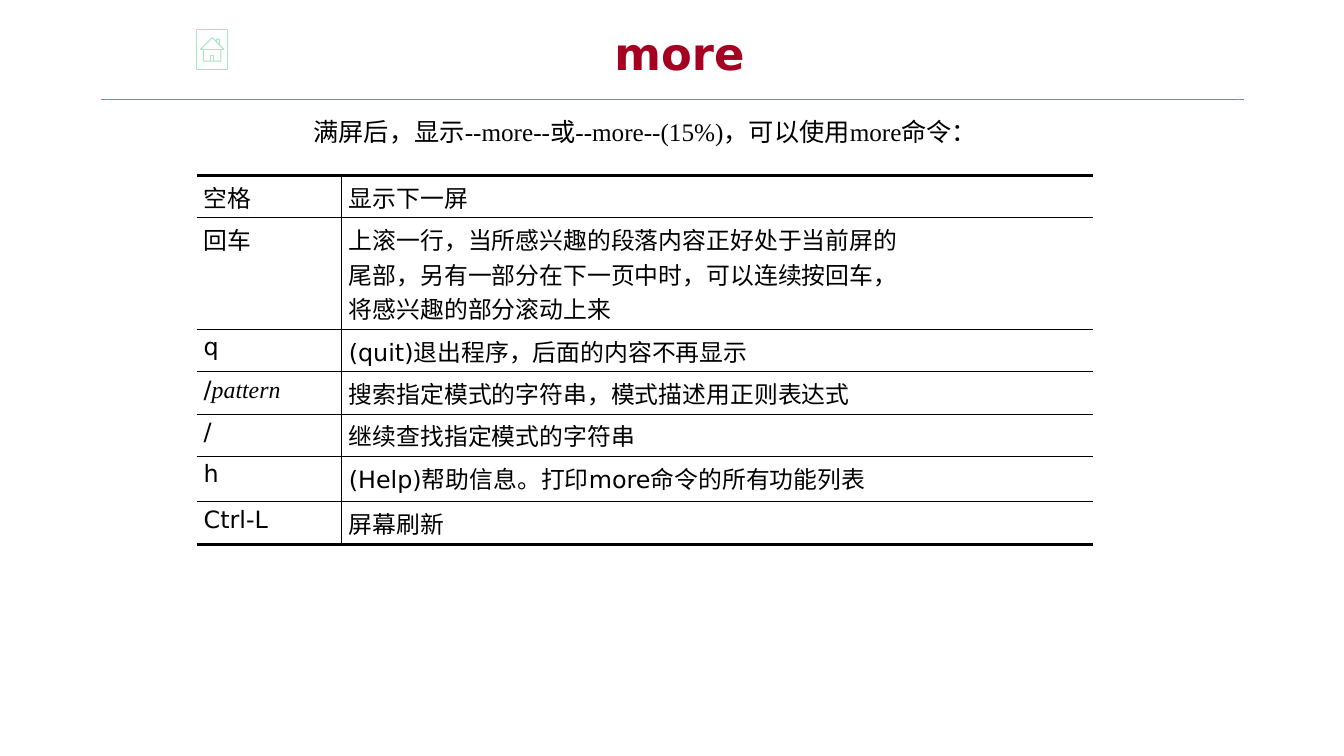
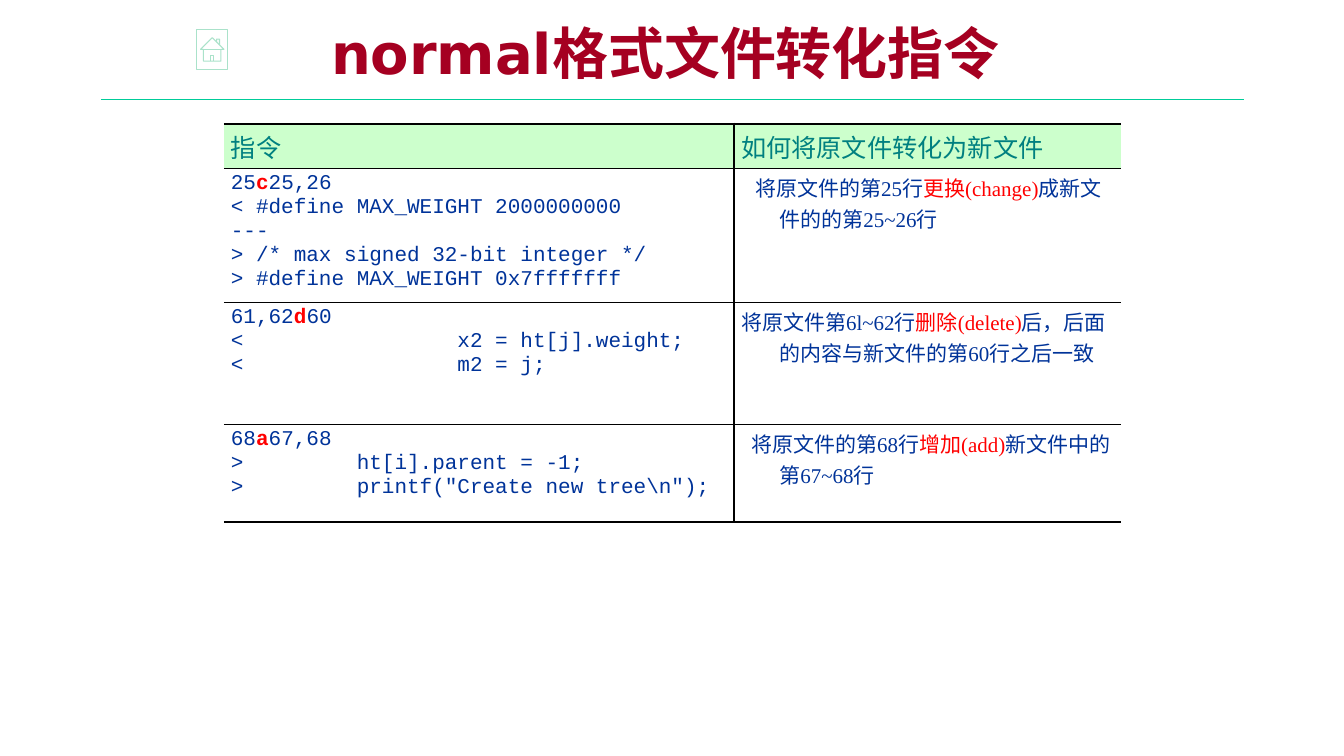
from lxml.etree import SubElement
from pptx import Presentation
from pptx.dml.color import RGBColor
from pptx.enum.shapes import MSO_CONNECTOR, MSO_SHAPE
from pptx.enum.text import MSO_ANCHOR, PP_ALIGN
from pptx.oxml.ns import qn
from pptx.util import Inches, Pt

THEME = {
    "rule": "00CC99",
    "home": "AAE2CA",
    "border": "000000",
    "header_fill": "CCFFCC",
    "thin": 1,
    "thick": 2.25,
    "hairline": 0.75,
    "hanging": 0.38,
    "styles": {
        "title": {"name": "DejaVu Sans", "size": 32, "color": "A50021", "bold": True},
        "big_title": {"name": "DejaVu Sans", "size": 40, "color": "A50021", "bold": True},
        "intro": {"name": "Times New Roman", "size": 18, "color": "000000"},
        "key": {"name": "DejaVu Sans", "size": 17, "color": "000000"},
        "argument": {"name": "Times New Roman", "size": 17, "color": "000000", "italic": True},
        "header": {"name": "Courier New", "size": 18, "color": "008080"},
        "header_serif": {"name": "Cambria", "size": 18, "color": "008080"},
        "code": {"name": "Courier New", "size": 15, "color": "003399"},
        "code_mark": {"name": "Courier New", "size": 15, "color": "FF0000", "bold": True},
        "prose": {"name": "Times New Roman", "size": 15, "color": "003399"},
        "prose_mark": {"name": "Times New Roman", "size": 15, "color": "FF0000"},
    },
}

INTRO = "满屏后，显示--more--或--more--(15%)，可以使用more命令："

MORE_KEYS = [
    ("空格", ["显示下一屏"]),
    ("回车", [
        "上滚一行，当所感兴趣的段落内容正好处于当前屏的",
        "尾部，另有一部分在下一页中时，可以连续按回车，",
        "将感兴趣的部分滚动上来",
    ]),
    ("q", ["(quit)退出程序，后面的内容不再显示"]),
    ([("/", "key"), ("pattern", "argument")], ["搜索指定模式的字符串，模式描述用正则表达式"]),
    ("/", ["继续查找指定模式的字符串"]),
    ("h", ["(Help)帮助信息。打印more命令的所有功能列表"]),
    ("Ctrl-L", ["屏幕刷新"]),
]

DIFF_HEADER = [
    [("指令", "header")],
    [("如何将原文件", "header"), ("转化为新文件", "header_serif")],
]

DIFF_COMMANDS = [
    {
        "command": ("25", "c", "25,26"),
        "lines": [
            "< #define MAX_WEIGHT 2000000000",
            "---",
            "> /* max signed 32-bit integer */",
            "> #define MAX_WEIGHT 0x7fffffff",
        ],
        "meaning": ("将原文件的第25行", "更换(change)", "成新文件的的第25~26行"),
        "first_line": 0.14,
    },
    {
        "command": ("61,62", "d", "60"),
        "lines": [
            "<                 x2 = ht[j].weight;",
            "<                 m2 = j;",
        ],
        "meaning": ("将原文件第6l~62行", "删除(delete)", "后，后面的内容与新文件的第60行之后一致"),
        "first_line": 0,
    },
    {
        "command": ("68", "a", "67,68"),
        "lines": [
            ">         ht[i].parent = -1;",
            '>         printf("Create new tree\\n");',
        ],
        "meaning": ("将原文件的第68行", "增加(add)", "新文件中的第67~68行"),
        "first_line": 0.1,
    },
]


def rgb(name):
    return RGBColor.from_string(THEME.get(name, name))


def set_all(target, values):
    for name, value in values.items():
        setattr(target, name, value)


def apply_style(font, style):
    for name, value in THEME["styles"][style].items():
        if name == "color":
            font.color.rgb = rgb(value)
        else:
            setattr(font, name, Pt(value) if name == "size" else value)


def write_runs(para, runs):
    for text, style in runs:
        span = para.add_run()
        span.text = text
        apply_style(span.font, style)


def hang(para, left, first_line=0):
    properties = para._p.get_or_add_pPr()
    properties.set("marL", str(Inches(left)))
    properties.set("indent", str(Inches(first_line - left)))


def add_text(page, place, runs, frame_format, para_format):
    box = page.shapes.add_textbox(*map(Inches, place))
    set_all(box.text_frame, {"word_wrap": True, **frame_format})
    para = box.text_frame.paragraphs[0]
    set_all(para, para_format)
    write_runs(para, runs)
    return para


def add_page(deck, title, style, center, width):
    page = deck.slides.add_slide(deck.slide_layouts[6])
    rule = page.shapes.add_connector(
        MSO_CONNECTOR.STRAIGHT, Inches(1), Inches(0.99), Inches(12.34), Inches(0.99))
    SubElement(rule._element.spPr, qn("a:effectLst"))
    home = page.shapes.add_shape(
        MSO_SHAPE.ACTION_BUTTON_HOME, *map(Inches, (1.95, 0.29, 0.31, 0.4)))
    home.shadow.inherit = False
    home.fill.background()
    for shape, color in ((rule, "rule"), (home, "home")):
        shape.line.color.rgb = rgb(color)
        shape.line.width = Pt(THEME["hairline"])
    add_text(page, (center - width / 2, 0.13, width, 0.87), [(title, style)],
             {"vertical_anchor": MSO_ANCHOR.MIDDLE},
             {"alignment": PP_ALIGN.CENTER, "line_spacing": 0.85})
    return page


def set_border(cell, side, weight):
    properties = cell._tc.get_or_add_tcPr()
    line = SubElement(properties, qn(f"a:ln{side}"), w=str(Pt(weight)))
    if weight:
        fill = SubElement(line, qn("a:solidFill"))
        SubElement(fill, qn("a:srgbClr"), val=THEME["border"])
    else:
        SubElement(line, qn("a:noFill"))


def fill_cell(cell, paragraphs):
    set_all(cell, {"margin_left": Inches(0.07), "margin_right": Inches(0.07),
                   "margin_top": Inches(0.04), "margin_bottom": Inches(0.04)})
    frame = cell.text_frame
    for index, (runs, first_line) in enumerate(paragraphs):
        para = frame.add_paragraph() if index else frame.paragraphs[0]
        hang(para, THEME["hanging"], first_line)
        write_runs(para, runs)


def add_grid(page, left, top, columns, heights, rows, header=False):
    table = page.shapes.add_table(
        len(rows), len(columns), Inches(left), Inches(top),
        Inches(sum(columns)), Inches(sum(heights))).table
    set_all(table, {"first_row": False, "horz_banding": False})
    for column, width in zip(table.columns, columns):
        column.width = Inches(width)
    thin, thick = THEME["thin"], THEME["thick"]
    last_row, last_column = len(rows) - 1, len(columns) - 1
    for r, row in enumerate(rows):
        table.rows[r].height = Inches(heights[r])
        for c, paragraphs in enumerate(row):
            cell = table.cell(r, c)
            fill_cell(cell, paragraphs)
            set_border(cell, "L", thin if c else 0)
            set_border(cell, "R", thin if c < last_column else 0)
            set_border(cell, "T", thin if r else thick)
            set_border(cell, "B", thin if r < last_row else thick)
            if header and r == 0:
                cell.fill.solid()
                cell.fill.fore_color.rgb = rgb("header_fill")
            else:
                cell.fill.background()


def key_row(key, lines):
    runs = [(key, "key")] if isinstance(key, str) else key
    return [[(runs, 0)], [([(line, "key")], 0) for line in lines]]


def marked(parts, style):
    return list(zip(parts, (style, f"{style}_mark", style)))


def diff_row(entry):
    code = [(marked(entry["command"], "code"), 0)]
    code += [([(line, "code")], 0) for line in entry["lines"]]
    return [code, [(marked(entry["meaning"], "prose"), entry["first_line"])]]


def build_more(deck):
    page = add_page(deck, "more", "title", 6.74, 8.5)
    margins = {"margin_left": Inches(0.07), "margin_right": Inches(0.07),
               "margin_top": Inches(0.04), "margin_bottom": Inches(0.04)}
    para = add_text(page, (3.04, 1.15, 7, 0.35), [(INTRO, "intro")],
                    margins, {"line_spacing": 0.9})
    hang(para, 0.28)
    heights = [0.42, 1.11, 0.42, 0.42, 0.42, 0.45, 0.42]
    add_grid(page, 1.95, 1.74, [1.44, 7.45], heights,
             [key_row(*entry) for entry in MORE_KEYS])


def build_diff(deck):
    page = add_page(deck, "normal格式文件转化指令", "big_title", 6.6, 10)
    rows = [[[(runs, 0)] for runs in DIFF_HEADER]]
    rows += [diff_row(entry) for entry in DIFF_COMMANDS]
    add_grid(page, 2.22, 1.23, [5.06, 3.84], [0.44, 1.32, 1.21, 0.97], rows, header=True)


def main():
    deck = Presentation()
    set_all(deck, {"slide_width": Inches(13.33), "slide_height": Inches(7.5)})
    build_more(deck)
    build_diff(deck)
    deck.save("out.pptx")


if __name__ == "__main__":
    main()
